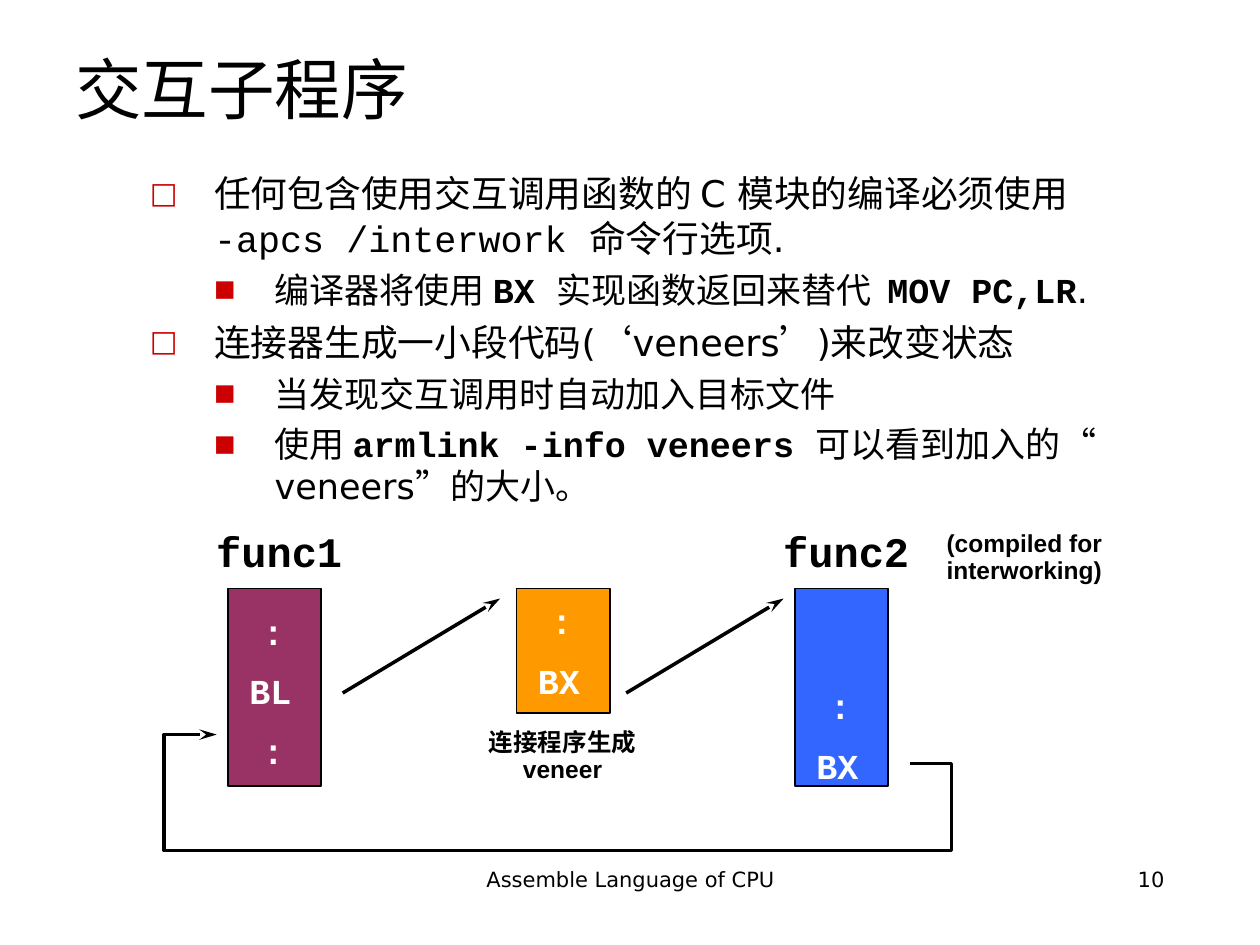
from lxml import etree
from pptx import Presentation
from pptx.dml.color import RGBColor
from pptx.enum import shapes, text
from pptx.oxml.ns import qn
from pptx.util import Inches, Pt

BLACK = RGBColor(0, 0, 0)
WHITE = RGBColor(255, 255, 255)
RED = RGBColor(0xCC, 0, 0)
PLUM = RGBColor(0x99, 0x33, 0x66)
ORANGE = RGBColor(0xFF, 0x99, 0)
BLUE = RGBColor(0x33, 0x66, 0xFF)
SANS, MONO, ARIAL = "DejaVu Sans", "Courier New", "Arial"
LEFT, MID, RIGHT = text.PP_ALIGN.LEFT, text.PP_ALIGN.CENTER, text.PP_ALIGN.RIGHT

# Each item: level, then runs of (words, font)
ITEMS = [
    (0, [("任何包含使用交互调用函数的 C 模块的编译必须使用 ", SANS),
         ("-apcs /interwork ", MONO), ("命令行选项.", SANS)]),
    (1, [("编译器将使用 ", SANS), ("BX ", MONO), ("实现函数返回来替代  ", SANS),
         ("MOV PC,LR", MONO), (".", SANS)]),
    (0, [("连接器生成一小段代码(", SANS), ("‘", ARIAL), ("veneers", SANS),
         ("’", ARIAL), (")来改变状态", SANS)]),
    (1, [("当发现交互调用时自动加入目标文件", SANS)]),
    (1, [("使用 ", SANS), ("armlink -info veneers ", MONO), ("可以看到加入的", SANS),
         ("“ ", ARIAL), ("veneers", SANS), ("”", ARIAL), ("的大小。", SANS)]),
]
# Per level: bullet, its percentage, text indent, hanging indent, size, space before
LEVELS = [("□", 80, 0.51, 0.51, 21, 5.2), ("■", 65, 0.99, 0.48, 20, 5)]


def add_run(para, words, font=SANS, size=12, color=BLACK, bold=False):
    run = para.add_run()
    run.text = words
    run.font.name, run.font.size, run.font.bold = font, Pt(size), bold
    run.font.color.rgb = color


def add_box(slide, box):
    shape = slide.shapes.add_textbox(*map(Inches, box))
    shape.text_frame.word_wrap = True
    return shape


def add_text(slide, box, *lines, align=LEFT, aligns=None, gap=0, spacing=None,
             anchor=text.MSO_ANCHOR.TOP, fill=None, **style):
    """Add a text box with one paragraph per line."""
    shape = add_box(slide, box)
    if fill is not None:
        shape.fill.solid()
        shape.fill.fore_color.rgb = fill
    frame = shape.text_frame
    frame.vertical_anchor = anchor
    for i, line in enumerate(lines):
        para = frame.add_paragraph() if i else frame.paragraphs[0]
        para.alignment = aligns[i] if aligns else align
        para.space_before = Pt(gap if i else 0)
        if spacing:
            para.line_spacing = spacing
        add_run(para, line, **style)


def add_bullet(para, mark, scale, indent, hang):
    props = para._p.get_or_add_pPr()
    props.set("marL", str(Inches(indent)))
    props.set("indent", str(-Inches(hang)))
    color = etree.SubElement(props, qn("a:buClr"))
    etree.SubElement(color, qn("a:srgbClr"), val=str(RED))
    etree.SubElement(props, qn("a:buSzPct"), val=str(scale * 1000))
    etree.SubElement(props, qn("a:buFont"), typeface=SANS)
    etree.SubElement(props, qn("a:buChar"), char=mark)


def add_list(slide, box):
    frame = add_box(slide, box).text_frame
    frame.margin_left = Inches(0.68)
    for i, (level, runs) in enumerate(ITEMS):
        para = frame.add_paragraph() if i else frame.paragraphs[0]
        mark, scale, indent, hang, size, gap = LEVELS[level]
        para.level = level
        add_bullet(para, mark, scale, indent, hang)
        para.space_before = Pt(gap if i else 0)
        for words, font in runs:
            add_run(para, words, font=font, size=size,
                    bold=level == 1 and font == MONO)


def add_block(slide, box, fill, top, *lines):
    """Draw a code block whose text starts at the given drop from its top."""
    x, y, wide, high = box
    rect = slide.shapes.add_shape(shapes.MSO_SHAPE.RECTANGLE, *map(Inches, box))
    rect.shadow.inherit = False
    rect.fill.solid()
    rect.fill.fore_color.rgb = fill
    rect.line.color.rgb = BLACK
    rect.line.width = Pt(1)
    inner = (x + 0.07, y + top, wide - 0.16, 0.39 + 0.48 * (len(lines) - 1))
    add_text(slide, inner, *lines, fill=fill if top < 0.5 else None, gap=12.5,
             aligns=[MID if line == ":" else LEFT for line in lines],
             spacing=0.9, font=MONO, size=20, color=WHITE, bold=True)


def style_arrow(shape):
    shape.line.color.rgb = BLACK
    shape.line.width = Pt(2)
    etree.SubElement(shape.line._get_or_add_ln(), qn("a:tailEnd"),
                     type="stealth", len="lg")


def add_call(slide, x, y):
    line = slide.shapes.add_connector(
        shapes.MSO_CONNECTOR.STRAIGHT,
        *map(Inches, (x, y, x + 1.25, y - 0.75)))
    style_arrow(line)
    etree.SubElement(line._element.spPr, qn("a:effectLst"))


def add_return(slide, box):
    """Draw the path from func2 round the bottom and back to func1."""
    x, y, wide, high = box
    points = [(x + wide - 0.33, y + 0.23), (x + wide, y + 0.23),
              (x + wide, y + high), (x, y + high), (x, y), (x + 0.42, y)]
    points = [(Inches(a), Inches(b)) for a, b in points]
    path = slide.shapes.build_freeform(*points[0])
    path.add_line_segments(points[1:], close=False)
    shape = path.convert_to_shape()
    shape.shadow.inherit = False
    shape.fill.background()
    style_arrow(shape)


def add_diagram(slide, x, y):
    name = dict(align=MID, spacing=0.9, font=MONO, size=24, bold=True)
    note = dict(align=MID, spacing=0.9, font=ARIAL, size=14, bold=True)
    add_block(slide, (x + 0.51, y + 0.5, 0.74, 1.57), PLUM, 0.16, ":", "BL", ":")
    add_block(slide, (x + 2.8, y + 0.5, 0.74, 0.99), ORANGE, 0.08, ":", "BX")
    add_block(slide, (x + 5.01, y + 0.5, 0.74, 1.57), BLUE, 0.75, ":", "BX")
    add_text(slide, (x + 0.29, y, 1.25, 0.46), "func1", **name)
    add_text(slide, (x + 4.79, y, 1.25, 0.46), "func2", **name)
    add_text(slide, (x + 2.29, y + 1.58, 1.75, 0.52), "连接程序生成 veneer", **note)
    for step in (1.42, 3.67):
        add_call(slide, x + step, y + 1.33)
    add_return(slide, (x, y + 1.66, 6.25, 0.92))
    add_text(slide, (x + 5.83, y, 2, 0.52), "(compiled for interworking)", **note)


def main():
    deck = Presentation()
    deck.slide_width, deck.slide_height = Inches(10), Inches(7.5)
    slide = deck.slides.add_slide(deck.slide_layouts[6])
    add_text(slide, (3.42, 6.83, 3.17, 0.52), "Assemble Language of CPU", align=MID)
    add_text(slide, (7.17, 6.83, 2.17, 0.52), "10", align=RIGHT)
    add_text(slide, (0.5, 0.21, 9, 0.85), "交互子程序", size=38,
             anchor=text.MSO_ANCHOR.BOTTOM)
    add_list(slide, (0.51, 1.31, 9, 2.91))
    add_diagram(slide, 1.3, 4.17)
    deck.save("out.pptx")


if __name__ == "__main__":
    main()
